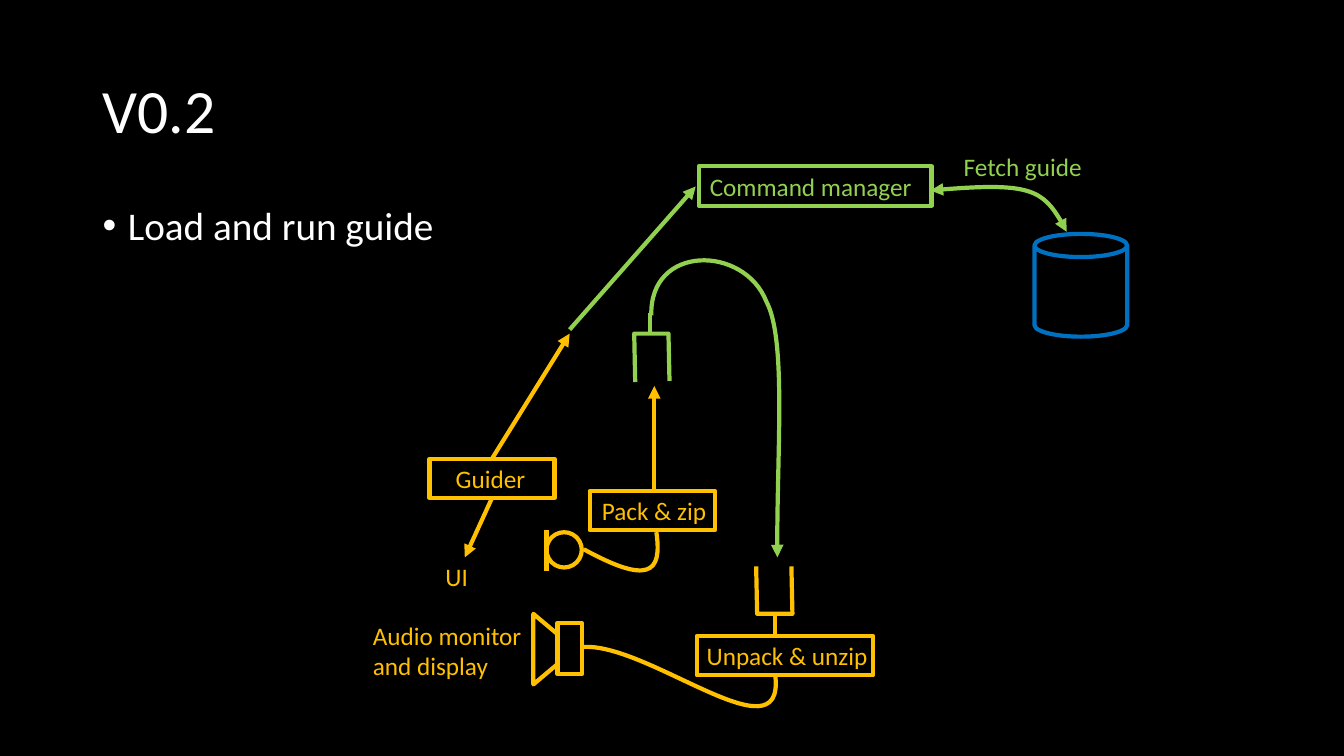
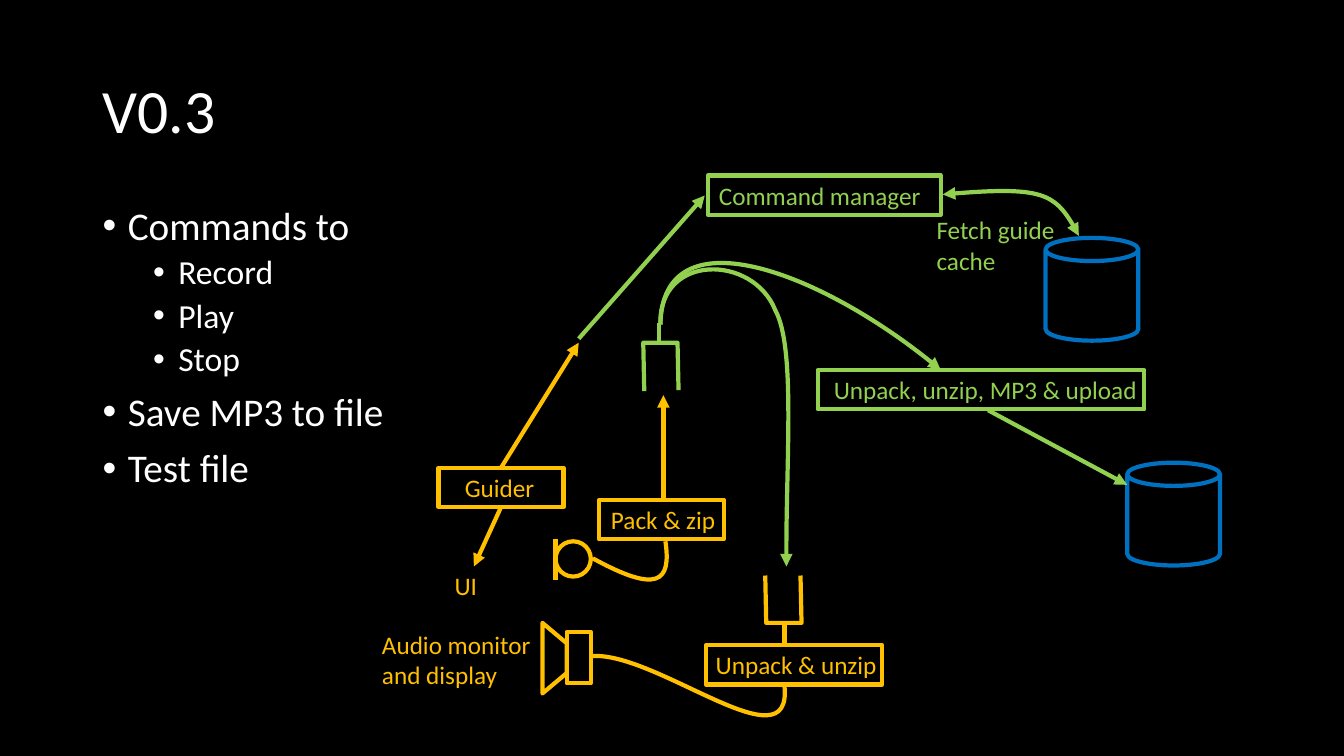
from pptx import Presentation
from pptx.dml.color import RGBColor
from pptx.enum import shapes, text
from pptx.oxml.ns import qn
from pptx.util import Inches, Pt
from lxml import etree
from dataclasses import dataclass


@dataclass(frozen=True)
class Theme:
    font: str = "Calibri"
    back: str = "000000"
    ink: str = "FFFFFF"
    local: str = "FFC000"
    remote: str = "92D050"
    store: str = "0070C0"
    title: int = 44
    bullets: tuple = (28, 24)
    label: int = 18
    stroke: int = 3


theme = Theme()
LOCAL, REMOTE = theme.local, theme.remote
CURVE_STEPS = 50


def draw_outline(shape, color, arrows=()):
    """Give a shape or connector the shared stroke, with arrowheads at the named ends."""
    shape.line.color.rgb = RGBColor.from_string(color)
    shape.line.width = Pt(theme.stroke)
    for end in arrows:
        etree.SubElement(shape.line._get_or_add_ln(), qn(f"a:{end}"), type="triangle")
    if hasattr(shape, "begin_x"):
        etree.SubElement(shape._element.spPr, qn("a:effectLst"))
    else:
        shape.fill.background()
        shape.shadow.inherit = False


def write_text(shape, words, size, color, wrap=True, anchor=text.MSO_ANCHOR.TOP):
    frame = shape.text_frame
    frame.word_wrap = wrap
    frame.vertical_anchor = anchor
    frame.text = words
    for paragraph in frame.paragraphs:
        paragraph.alignment = text.PP_ALIGN.LEFT
        for run in paragraph.runs:
            run.font.name = theme.font
            run.font.size = Pt(size)
            run.font.color.rgb = RGBColor.from_string(color)
    return frame


# Diagram parts found on every slide
boxes = [  # words, left, top, width, text inset, colour
    ("Command manager", 6.93, 1.65, 2.31, 0.11, REMOTE),
    ("Guider", 4.26, 4.55, 1.24, 0.26, LOCAL),
    ("Pack & zip", 5.85, 4.87, 1.24, 0.12, LOCAL),
    ("Unpack & unzip", 6.91, 6.31, 1.75, 0.1, LOCAL),
]
lines = [  # from, to, colour, arrows, joined box and side at the start
    ((5.42, 5.26), (5.42, 5.66), LOCAL, (), None),
    ((7.69, 6.09), (7.69, 6.29), LOCAL, (), None),
    ((6.45, 3.31), (6.45, 3.11), REMOTE, (), None),
    ((6.49, 4.87), (6.49, 3.83), LOCAL, ("tailEnd",), None),
    ((4.89, 4.55), (5.65, 3.31), LOCAL, ("tailEnd",), ("Guider", 0)),
    ((4.89, 4.94), (4.61, 5.53), LOCAL, ("tailEnd",), ("Guider", 2)),
    ((5.65, 3.27), (6.9, 1.85), REMOTE, ("tailEnd",), None),
]
brackets = [
    ([(7.5, 5.62), (7.51, 6.09), (7.86, 6.09), (7.85, 5.62)], LOCAL),
    ([(6.64, 3.78), (6.63, 3.31), (6.29, 3.31), (6.3, 3.79)], REMOTE),
]
curves = [  # start, then two controls and an end for each Bézier piece
    ([(7.69, 6.71), (7.78, 7.54), (6.41, 6.36), (5.77, 6.42)], LOCAL, ()),
    ([(5.79, 5.45), (6.43, 5.8), (6.57, 5.69), (6.51, 5.28)], LOCAL, ()),
    ([(6.46, 3.13), (6.44, 2.42), (7.38, 2.43), (7.6, 2.99),
      (7.8, 3.36), (7.7, 4.54), (7.71, 5.53)], REMOTE, ("tailEnd",)),
]
fetch_curve = [(9.23, 1.89), (10.19, 1.8), (10.38, 1.9), (10.58, 2.3)]
labels = [  # words, left, top, width, height, colour
    ("Audio monitor\nand display", 3.6, 6.1, 1.69, 0.71, LOCAL),
    ("UI", 4.32, 5.52, 0.43, 0.4, LOCAL),
]
devices = [  # preset, left, top, width, height, rotation
    (shapes.MSO_SHAPE.OVAL, 5.42, 5.28, 0.35, 0.35, 0),
    (shapes.MSO_SHAPE.RECTANGLE, 5.53, 6.18, 0.24, 0.51, 0),
    (shapes.MSO_SHAPE.TRAPEZOID, 5.06, 6.32, 0.7, 0.24, 90),
]

# Each slide: its words, the shift of the shared diagram, and its own parts
versions = [
    dict(title="V0.2", bullets=[(0, "Load and run guide")], shift=0, fetch=(0, 0),
         label=("Fetch guide", 9.46, 1.45, 1.39, 0.4, REMOTE),
         stores=[(10.26, 2.32)], boxes=[], lines=[], curves=[]),
    dict(title="V0.3",
         bullets=[(0, "Commands to"), (1, "Record"), (1, "Play"), (1, "Stop"),
                  (0, "Save MP3 to file"), (0, "Test file")],
         shift=0.09, fetch=(0.12, 0.04),
         label=("Fetch guide\vcache", 9.19, 2.08, 1.39, 0.71, REMOTE),
         stores=[(10.37, 2.36), (11.18, 4.59)],
         boxes=[("Unpack, unzip, MP3 & upload", 8.11, 3.67, 3.24, 0.16, REMOTE)],
         lines=[((9.8, 4.07), (11.18, 4.81), REMOTE, ("tailEnd",), None)],
         curves=[([(6.55, 3.22), (6.57, 2.12), (8.16, 2.69), (9.33, 3.67)],
                  REMOTE, ("tailEnd",))]),
]

deck = Presentation()
deck.slide_width, deck.slide_height = Inches(13.33), Inches(7.5)
backdrop = deck.slide_master.background.fill
backdrop.solid()
backdrop.fore_color.rgb = RGBColor.from_string(theme.back)

for version in versions:
    slide = deck.slides.add_slide(deck.slide_layouts[6])
    canvas = slide.shapes
    shift = version["shift"]

    # Title and bullets
    title = canvas.add_textbox(Inches(0.92), Inches(0.4), Inches(11.5), Inches(1.45))
    write_text(title, version["title"], theme.title, theme.ink,
               anchor=text.MSO_ANCHOR.MIDDLE).paragraphs[0].line_spacing = 0.9
    body = canvas.add_textbox(Inches(0.92), Inches(2), Inches(11.5), Inches(4.76))
    points = write_text(body, "\n".join(words for _, words in version["bullets"]),
                        theme.bullets[0], theme.ink)
    for point, (level, _) in zip(points.paragraphs, version["bullets"]):
        point.level = level
        point.line_spacing = 0.9
        point.space_before = Pt((10, 5)[level])
        point.runs[0].font.size = Pt(theme.bullets[level])
        properties = point._p.get_or_add_pPr()
        properties.set("marL", str(Inches((0.25, 0.75)[level])))
        properties.set("indent", str(Inches(-0.25)))
        etree.SubElement(properties, qn("a:buFont"), typeface="Arial")
        etree.SubElement(properties, qn("a:buChar"), char="•")

    # Microphone and speaker
    for preset, left, top, width, height, turn in devices:
        device = canvas.add_shape(preset, Inches(left + shift), Inches(top + shift),
                                  Inches(width), Inches(height))
        device.rotation = turn
        if preset == shapes.MSO_SHAPE.TRAPEZOID:
            device.adjustments[0] = 0.84
        draw_outline(device, LOCAL)

    # Stores
    for left, top in version["stores"]:
        store = canvas.add_shape(shapes.MSO_SHAPE.CAN, Inches(left), Inches(top),
                                 Inches(0.92), Inches(1.02))
        draw_outline(store, theme.store)

    # Boxes
    placed = {}
    for group, offset in ((boxes, shift), (version["boxes"], 0)):
        for words, left, top, width, inset, color in group:
            box = canvas.add_shape(shapes.MSO_SHAPE.RECTANGLE, Inches(left + offset),
                                   Inches(top + offset), Inches(width), Inches(0.39))
            draw_outline(box, color)
            frame = write_text(box, words, theme.label, color,
                               anchor=text.MSO_ANCHOR.MIDDLE)
            frame.margin_left, frame.margin_right = Inches(inset), 0
            placed[words] = box

    # Straight lines and arrows
    for group, offset in ((lines, shift), (version["lines"], 0)):
        for start, end, color, arrows, join in group:
            line = canvas.add_connector(
                shapes.MSO_CONNECTOR.STRAIGHT,
                *(Inches(value + offset) for value in start + end))
            if join:
                line.begin_connect(placed[join[0]], join[1])
            draw_outline(line, color, arrows)

    # Brackets
    for corners, color in brackets:
        start, *rest = [(Inches(x + shift), Inches(y + shift)) for x, y in corners]
        builder = canvas.build_freeform(*start)
        builder.add_line_segments(rest, close=False)
        draw_outline(builder.convert_to_shape(), color)

    # Curves: the knots become Bézier pieces, in a frame that fits the drawn line
    fetch_x, fetch_y = version["fetch"]
    bends = [([(x + shift, y + shift) for x, y in knots], color, arrows)
             for knots, color, arrows in curves] + version["curves"]
    bends.append(([(x + fetch_x, y + fetch_y) for x, y in fetch_curve],
                  REMOTE, ("headEnd", "tailEnd")))
    for knots, color, arrows in bends:
        knots = [(Inches(x), Inches(y)) for x, y in knots]
        builder = canvas.build_freeform(*knots[0])
        builder.add_line_segments(knots[1:], close=False)
        curve = builder.convert_to_shape()

        bounds = []
        for axis in (0, 1):
            reach = []
            for first in range(0, len(knots) - 1, 3):
                a, b, c, d = (knot[axis] for knot in knots[first:first + 4])
                for step in range(CURVE_STEPS + 1):
                    t = step / CURVE_STEPS
                    s = 1 - t
                    reach.append(s**3 * a + 3 * s * s * t * b + 3 * s * t * t * c + t**3 * d)
            bounds.append((int(min(reach)), int(max(reach))))
        (left, right), (top, bottom) = bounds
        curve.left, curve.top = left, top
        curve.width, curve.height = right - left, bottom - top

        route = curve._element.spPr.find(".//" + qn("a:path"))
        for old in list(route):
            route.remove(old)
        route.set("w", str(right - left))
        route.set("h", str(bottom - top))
        pieces = [("a:moveTo", knots[:1])]
        pieces += [("a:cubicBezTo", knots[i:i + 3]) for i in range(1, len(knots), 3)]
        for tag, stops in pieces:
            piece = etree.SubElement(route, qn(tag))
            for x, y in stops:
                etree.SubElement(piece, qn("a:pt"), x=str(x - left), y=str(y - top))
        draw_outline(curve, color, arrows)

    # Labels
    for group, offset in ((labels, shift), ([version["label"]], 0)):
        for words, left, top, width, height, color in group:
            label = canvas.add_textbox(Inches(left + offset), Inches(top + offset),
                                       Inches(width), Inches(height))
            write_text(label, words, theme.label, color, wrap=False)

deck.save("out.pptx")
